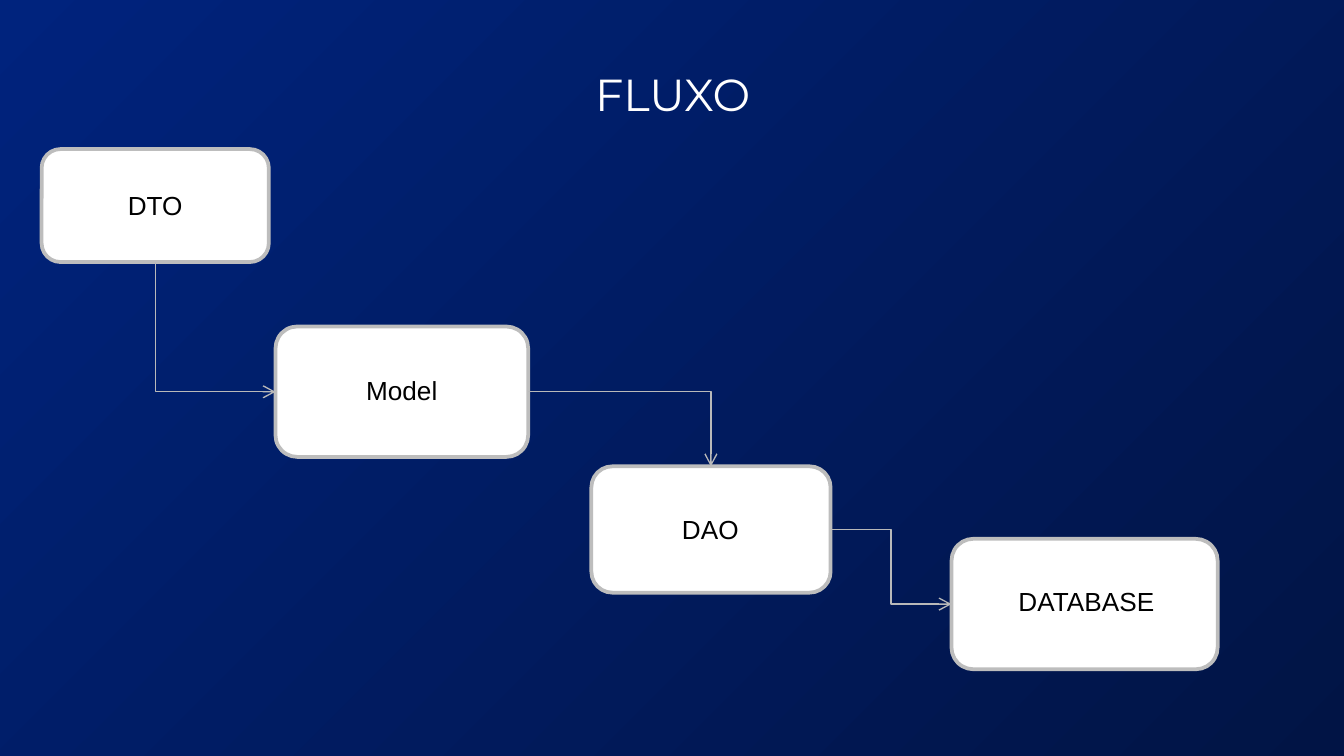
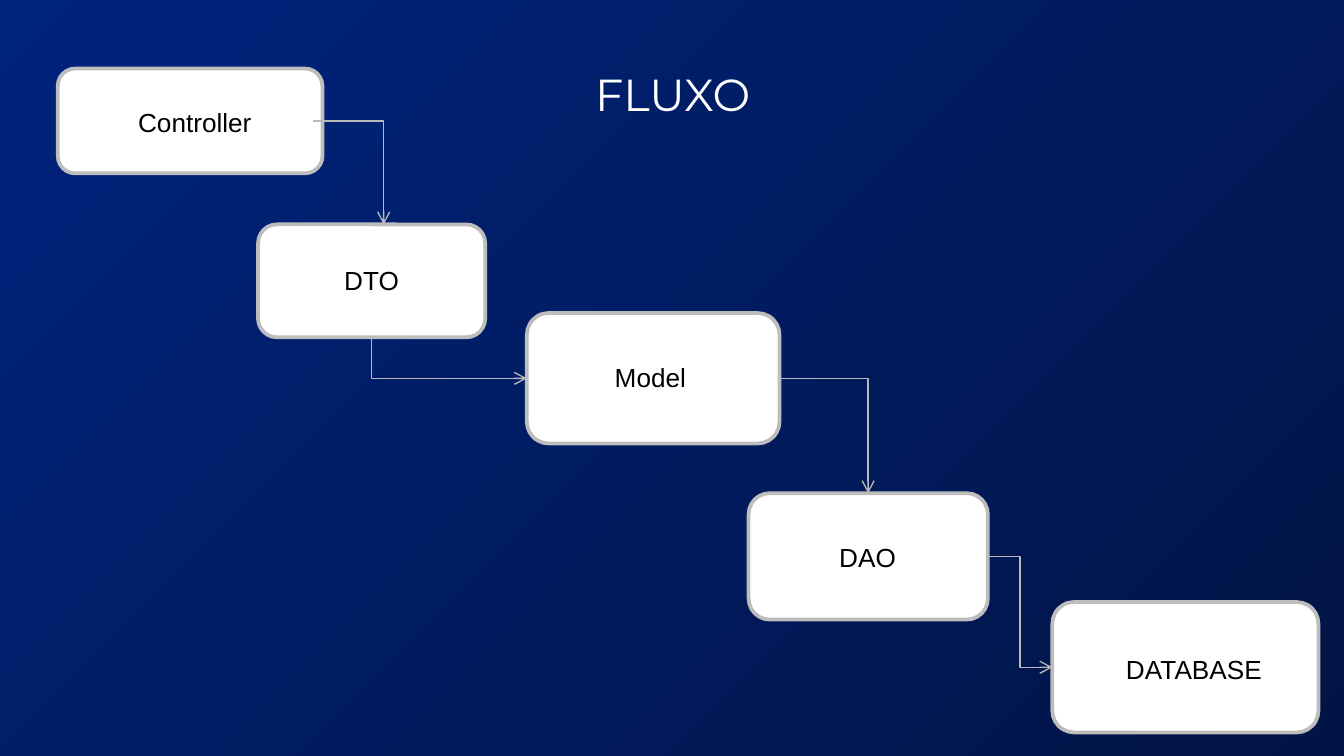
from dataclasses import dataclass

from pptx import Presentation
from pptx.dml.color import RGBColor
from pptx.enum.shapes import MSO_CONNECTOR, MSO_SHAPE
from pptx.enum.text import MSO_ANCHOR, MSO_AUTO_SIZE, PP_ALIGN
from pptx.oxml.ns import qn
from pptx.oxml.xmlchemy import OxmlElement
from pptx.util import Inches, Pt

ROUNDED = MSO_SHAPE.FLOWCHART_ALTERNATE_PROCESS
ELBOW = MSO_CONNECTOR.ELBOW
CENTER, LEFT = PP_ALIGN.CENTER, PP_ALIGN.LEFT
MIDDLE, TOP = MSO_ANCHOR.MIDDLE, MSO_ANCHOR.TOP
FIT_TEXT, FIXED = MSO_AUTO_SIZE.SHAPE_TO_FIT_TEXT, MSO_AUTO_SIZE.NONE

# Slide size, 16:9
SLIDE_WIDTH = 10
SLIDE_HEIGHT = SLIDE_WIDTH * 9 / 16

# Ways an arrow leaves one stage and enters the next
DOWN_THEN_RIGHT, RIGHT_THEN_DOWN, RIGHT_STEP = "down-right", "right-down", "right-step"


# Theme and building blocks
@dataclass(frozen=True)
class Theme:
    background_start: str = "00237D"
    background_end: str = "011445"
    box_fill: str = "FFFFFF"
    box_line: str = "BDBDBD"
    arrow: str = "B9B9B9"
    title_color: str = "FFFFFF"
    label_color: str = "000000"
    title_font: str = "Montserrat"
    label_font: str = "Arial"
    title_size: float = 24
    label_size: float = 14
    box_line_width: float = 2
    arrow_width: float = 0.75


@dataclass(frozen=True)
class Stage:
    """A kind of box, with its label placed relative to its corner."""
    name: str
    width: float
    height: float
    label_x: float
    label_y: float
    label_width: float
    align: PP_ALIGN = CENTER


@dataclass(frozen=True)
class Step:
    """A stage placed on a slide, and the route from it to the next."""
    stage: Stage
    left: float
    top: float
    route: str = ""
    label_shift: tuple[float, float] = (0, 0)
    start_shift: float = 0
    end_shift: float = 0

    @property
    def center_x(self) -> float:
        return self.left + self.stage.width / 2

    @property
    def center_y(self) -> float:
        return self.top + self.stage.height / 2

    @property
    def right(self) -> float:
        return self.left + self.stage.width

    @property
    def bottom(self) -> float:
        return self.top + self.stage.height


THEME = Theme()
TITLE = "FLUXO"

CONTROLLER = Stage("Controller", 1.97, 0.78, 0.14, 0.23, 1.76)
DTO = Stage("DTO", 1.69, 0.84, 0.21, 0.25, 1.27)
MODEL = Stage("Model", 1.88, 0.97, 0.21, 0.31, 1.46)
DAO = Stage("DAO", 1.78, 0.94, 0.25, 0.3, 1.27)
DATABASE = Stage("DATABASE", 1.98, 0.97, 0.4, 0.3, 1.27, LEFT)

FLOWS = [
    [
        Step(DTO, 0.31, 1.11, DOWN_THEN_RIGHT),
        Step(MODEL, 2.05, 2.43, RIGHT_THEN_DOWN),
        Step(DAO, 4.4, 3.47, RIGHT_STEP),
        Step(DATABASE, 7.08, 4.01),
    ],
    [
        Step(CONTROLLER, 0.43, 0.51, RIGHT_THEN_DOWN, start_shift=-0.07, end_shift=0.09),
        Step(DTO, 1.92, 1.67, DOWN_THEN_RIGHT),
        Step(MODEL, 3.92, 2.33, RIGHT_THEN_DOWN, label_shift=(-0.02, 0)),
        Step(DAO, 5.57, 3.67, RIGHT_STEP, label_shift=(0, 0.01)),
        Step(DATABASE, 7.83, 4.48, label_shift=(0.05, 0.03)),
    ],
]


# Drawing functions
def color(value: str) -> RGBColor:
    return RGBColor.from_string(value)


def paint_background(deck) -> None:
    fill = deck.slide_master.background.fill
    fill.gradient()
    fill.gradient_angle = 315
    stops = zip(fill.gradient_stops, (0, 1), (THEME.background_start, THEME.background_end))
    for stop, position, value in stops:
        stop.position = position
        stop.color.rgb = color(value)


def add_text(page, text: str, bounds: tuple[float, ...], font: dict, text_color: str,
             frame_format: dict, align: PP_ALIGN = CENTER) -> None:
    box = page.shapes.add_textbox(*map(Inches, bounds))
    for name, value in frame_format.items():
        setattr(box.text_frame, name, value)
    para = box.text_frame.paragraphs[0]
    para.alignment = align
    span = para.add_run()
    span.text = text
    for name, value in font.items():
        setattr(span.font, name, value)
    span.font.color.rgb = color(text_color)


def add_title(page) -> None:
    inset = Inches(0.1)
    frame_format = {
        "word_wrap": True, "auto_size": FIXED, "vertical_anchor": MIDDLE,
        "margin_left": inset, "margin_right": inset,
        "margin_top": inset, "margin_bottom": inset,
    }
    font = {"name": THEME.title_font, "size": Pt(THEME.title_size)}
    add_text(page, TITLE, (3.47, 0.28, 3.07, 0.83), font, THEME.title_color, frame_format)


def add_step(page, step: Step) -> None:
    stage = step.stage
    bounds = (step.left, step.top, stage.width, stage.height)
    box = page.shapes.add_shape(ROUNDED, *map(Inches, bounds))
    box.shadow.inherit = False
    box.fill.solid()
    box.fill.fore_color.rgb = color(THEME.box_fill)
    box.line.color.rgb = color(THEME.box_line)
    box.line.width = Pt(THEME.box_line_width)

    shift_x, shift_y = step.label_shift
    label_bounds = (step.left + stage.label_x + shift_x, step.top + stage.label_y + shift_y,
                    stage.label_width, 0.33)
    frame_format = {"word_wrap": True, "auto_size": FIT_TEXT, "vertical_anchor": TOP}
    font = {"name": THEME.label_font, "size": Pt(THEME.label_size)}
    add_text(page, stage.name, label_bounds, font, THEME.label_color, frame_format, stage.align)


def add_arrow(page, source: Step, target: Step) -> None:
    start = (source.right + source.start_shift, source.center_y)
    end = (target.left, target.center_y)
    if source.route == RIGHT_THEN_DOWN:
        end = (target.center_x + source.end_shift, target.top)
    elif source.route == DOWN_THEN_RIGHT:
        # Frame of the elbow before its quarter turn: sides swapped, flipped vertically
        x, y = source.center_x, source.bottom
        middle_x, middle_y = (x + end[0]) / 2, (y + end[1]) / 2
        half_width, half_height = (end[1] - y) / 2, (end[0] - x) / 2
        start = (middle_x - half_width, middle_y + half_height)
        end = (middle_x + half_width, middle_y - half_height)

    arrow = page.shapes.add_connector(ELBOW, *map(Inches, start + end))
    arrow.line.color.rgb = color(THEME.arrow)
    arrow.line.width = Pt(THEME.arrow_width)
    properties = arrow._element.spPr
    if source.route != RIGHT_STEP:
        properties.find(qn("a:prstGeom")).set("prst", "bentConnector2")
    if source.route == DOWN_THEN_RIGHT:
        properties.find(qn("a:xfrm")).set("rot", "5400000")
    tip = OxmlElement("a:tailEnd")
    tip.set("type", "arrow")
    properties.find(qn("a:ln")).append(tip)
    properties.append(OxmlElement("a:effectLst"))


def add_flow(deck, steps: list[Step]) -> None:
    page = deck.slides.add_slide(deck.slide_layouts[6])
    add_title(page)
    for step in steps:
        add_step(page, step)
    for source, target in zip(steps, steps[1:]):
        add_arrow(page, source, target)


def main() -> None:
    deck = Presentation()
    deck.slide_width, deck.slide_height = Inches(SLIDE_WIDTH), Inches(SLIDE_HEIGHT)
    paint_background(deck)
    for steps in FLOWS:
        add_flow(deck, steps)
    deck.save("out.pptx")


if __name__ == "__main__":
    main()
